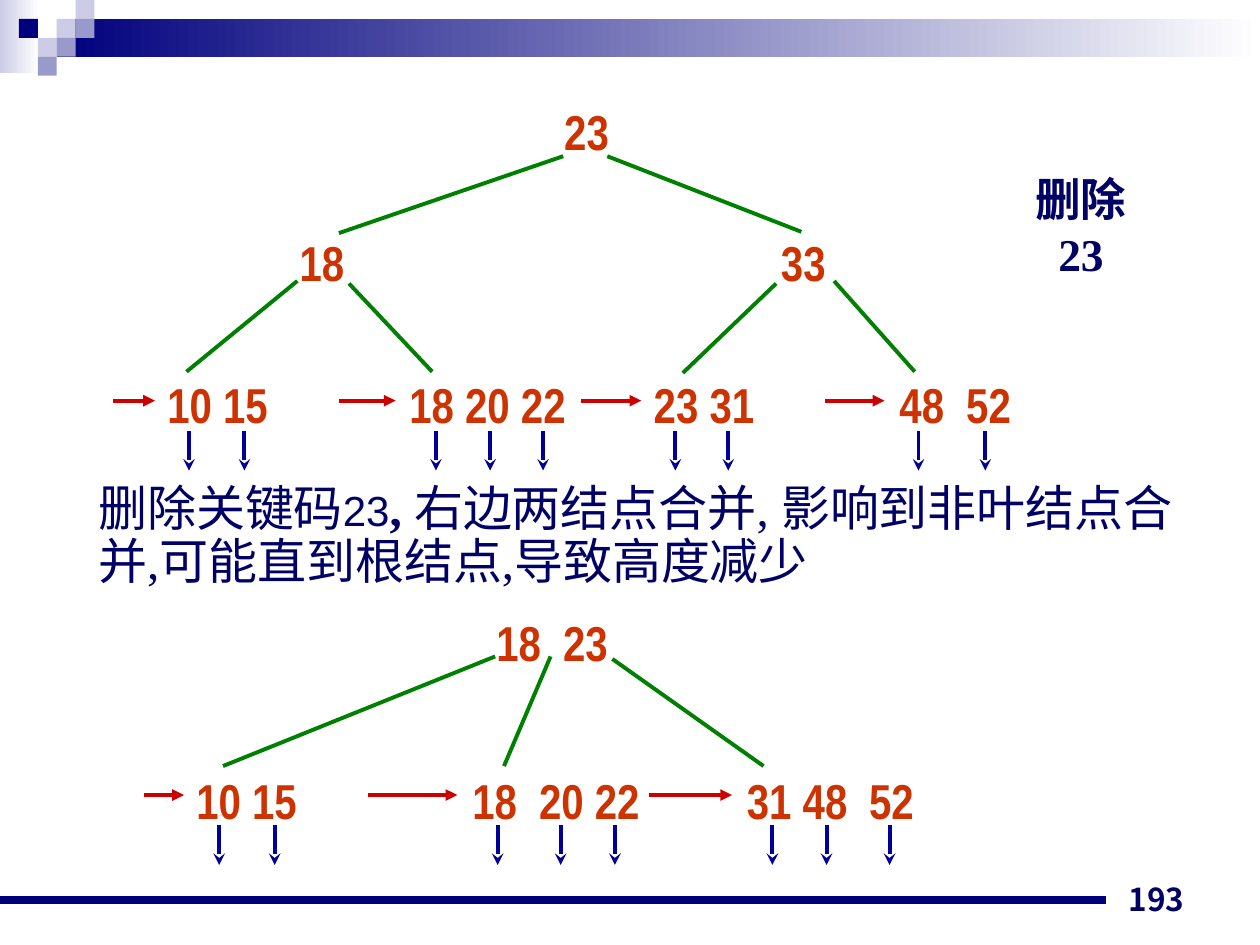
from dataclasses import dataclass

from lxml.etree import SubElement
from pptx import Presentation
from pptx.dml.color import RGBColor
from pptx.enum.shapes import MSO_CONNECTOR, MSO_SHAPE
from pptx.enum.text import MSO_ANCHOR, MSO_AUTO_SIZE, PP_ALIGN
from pptx.oxml.ns import qn
from pptx.util import Inches, Pt

COLUMNS, ROWS = 100, 75  # square grid cells, a tenth of an inch each


@dataclass(frozen=True)
class Theme:
    navy: str = "00007D"
    lilac: str = "CCCCE6"
    violet: str = "9999CC"
    white: str = "FFFFFF"
    ink: str = "000066"
    key: str = "CC3300"
    edge: str = "008000"
    chain: str = "CC0000"
    pointer: str = "000099"
    serif: str = "Times New Roman"
    sans: str = "Arial"
    narrow: str = "Arial Narrow"
    number_font: str = "Noto Sans CJK JP"
    body_size: int = 28
    title_size: int = 26
    figure_size: int = 24
    number_size: int = 18
    stroke: float = 2.25
    rule: float = 4.5


class SlideBuilder:
    """Draws on one slide; every length is in grid columns and rows."""

    def __init__(self, deck, theme):
        self.theme = theme
        self.slide = deck.slides.add_slide(deck.slide_layouts[1])
        self.column = deck.slide_width / COLUMNS
        self.row = deck.slide_height / ROWS

    def place(self, left, top, width, height):
        return (round(left * self.column), round(top * self.row),
                round(width * self.column), round(height * self.row))

    def style(self, font, name, size, color, bold=False):
        font.name, font.size, font.bold = name, Pt(size), bold
        font.color.rgb = RGBColor.from_string(color)

    def block(self, area, *colors):
        """A plain rectangle; two colours make a left-to-right gradient."""
        block = self.slide.shapes.add_shape(MSO_SHAPE.RECTANGLE, *self.place(*area))
        block.shadow.inherit = False
        block.line.fill.background()
        if len(colors) == 1:
            block.fill.solid()
            block.fill.fore_color.rgb = RGBColor.from_string(colors[0])
            return
        block.fill.gradient()
        block.fill.gradient_angle = 0
        for stop, color in zip(block.fill.gradient_stops, colors):
            stop.color.rgb = RGBColor.from_string(color)

    def line(self, start, end, color, width=None, head=None):
        x1, y1, x2, y2 = self.place(*start, *end)
        line = self.slide.shapes.add_connector(MSO_CONNECTOR.STRAIGHT, x1, y1, x2, y2)
        line.line.color.rgb = RGBColor.from_string(color)
        line.line.width = Pt(width or self.theme.stroke)
        if head:
            SubElement(line.line._get_or_add_ln(), qn("a:tailEnd"), type=head)
        SubElement(line._element.spPr, qn("a:effectLst"))

    def fill_placeholder(self, index, area, align):
        holder = self.slide.placeholders[index]
        holder.left, holder.top, holder.width, holder.height = self.place(*area)
        frame = holder.text_frame
        frame.word_wrap, frame.auto_size = True, MSO_AUTO_SIZE.NONE
        frame.vertical_anchor = MSO_ANCHOR.TOP
        paragraph = frame.paragraphs[0]
        paragraph.alignment, paragraph.space_before = align, Pt(0)
        return paragraph

    def title(self, text, area):
        t = self.theme
        paragraph = self.fill_placeholder(0, area, PP_ALIGN.CENTER)
        paragraph.text = text
        self.style(paragraph.font, t.serif, t.title_size, t.ink, True)

    def explanation(self, runs, area):
        paragraph = self.fill_placeholder(1, area, PP_ALIGN.LEFT)
        paragraph.line_spacing = 0.9
        properties = paragraph._p.get_or_add_pPr()
        properties.set("marL", "0")
        properties.set("indent", "0")
        SubElement(properties, qn("a:buNone"))
        for text, font, size, bold in runs:
            run = paragraph.add_run()
            run.text = text
            self.style(run.font, font, size, self.theme.ink, bold)

    def keys(self, text, left, top, width):
        """The keys of one node; a tab makes the wide gap between two keys."""
        t = self.theme
        node = self.slide.shapes.add_textbox(*self.place(left, top, width, 5.7))
        frame = node.text_frame
        frame.word_wrap, frame.auto_size = False, MSO_AUTO_SIZE.SHAPE_TO_FIT_TEXT
        paragraph = frame.paragraphs[0]
        paragraph.text = text
        if "\t" in text:
            stops = SubElement(paragraph._p.get_or_add_pPr(), qn("a:tabLst"))
            for position in (0.53, 0.97):
                SubElement(stops, qn("a:tab"), pos=str(Inches(position)), algn="l")
        self.style(paragraph.font, t.narrow, t.body_size, t.key, True)

    def page_number(self, text, area):
        t = self.theme
        frame = self.slide.shapes.add_textbox(*self.place(*area)).text_frame
        frame.word_wrap, frame.vertical_anchor = True, MSO_ANCHOR.BOTTOM
        paragraph = frame.paragraphs[0]
        paragraph.text, paragraph.alignment = text, PP_ALIGN.RIGHT
        self.style(paragraph.font, t.number_font, t.number_size, t.ink, True)

    def tree(self, nodes, edges, chain, chain_row, pointers, pointer_row):
        t = self.theme
        for node in nodes:
            self.keys(*node)
        for start, end in edges:
            self.line(start, end, t.edge)
        for start, end in chain:
            self.line((start, chain_row), (end, chain_row), t.chain, head="triangle")
        for x in pointers:
            self.line((x, pointer_row), (x, pointer_row + 3.15), t.pointer, head="stealth")


def main():
    deck = Presentation()
    deck.slide_width, deck.slide_height = Inches(10), Inches(7.5)
    t = Theme()
    page = SlideBuilder(deck, t)

    # Header band, corner squares and footer rule
    page.block((0, 0, 3.1, 5.8), t.lilac, t.white)
    page.block((4.5, 1.5, 95.5, 3), t.navy, t.white)
    for column, row, color in [(3, 1, t.lilac), (4, 0, t.lilac), (4, 1, t.violet),
                               (2, 2, t.lilac), (1, 1, t.navy), (3, 2, t.violet),
                               (2, 3, t.violet)]:
        page.block((column * 1.5, row * 1.5, 1.5, 1.5), color)
    page.line((0, 71.4), (87.8, 71.4), t.navy, t.rule)
    page.page_number("193", (71.7, 68.3, 23.3, 5))

    # Operation and its explanation
    page.title("删除23", (80.8, 13.1, 10, 9.5))
    page.explanation([
        ("删除关键码", t.serif, t.body_size, False),
        ("23", t.sans, t.figure_size, False),
        (", ", t.serif, t.body_size, True),
        ("右边两结点合并, 影响到非叶结点合并,可能直到根结点,导致高度减少",
         t.serif, t.body_size, False),
    ], (6.8, 37.9, 87.5, 9.4))

    # Tree before the deletion
    page.tree(
        nodes=[("23", 43.8, 7.6, 5.6), ("18", 22.8, 18, 6.4), ("33", 61, 18, 5.6),
               ("10 15", 12.3, 29.2, 10), ("18 20 22", 31.5, 29.2, 14.4),
               ("23 31", 50.9, 29.2, 10), ("48\t52", 70.4, 29.2, 10.9)],
        edges=[((44.7, 12.4), (26.9, 18.5)), ((48.2, 12.4), (63.6, 18.4)),
               ((23.6, 22.3), (14.8, 29.5)), ((27.7, 22.5), (34.3, 29.5)),
               ((61.6, 22.5), (54.2, 29.6)), ((66.2, 22.3), (72.6, 29.5))],
        chain=[(9, 12.3), (26.9, 31.4), (46.1, 50.9), (65.5, 70.2)],
        chain_row=31.8,
        pointers=[15, 19.4, 34.6, 38.9, 43.1, 53.6, 57.8, 72.9, 78.2],
        pointer_row=34.2)

    # Tree after the deletion
    page.tree(
        nodes=[("18\t23", 38.4, 48.1, 10.9), ("10 15", 14.6, 60.7, 10),
               ("18\t20 22", 36.5, 60.7, 15.3), ("31 48\t52", 58.3, 60.7, 15.3)],
        edges=[((39.3, 52.1), (17.7, 60.8)), ((43.7, 52.1), (40, 60.8)),
               ((48.6, 52.3), (60.6, 60.8))],
        chain=[(11.4, 14.6), (29.2, 36.3), (51.5, 58.1)],
        chain_row=63.1,
        pointers=[17.4, 21.8, 39.5, 44.5, 48.8, 61.3, 65.6, 70.6],
        pointer_row=65.5)

    deck.save("out.pptx")


if __name__ == "__main__":
    main()
